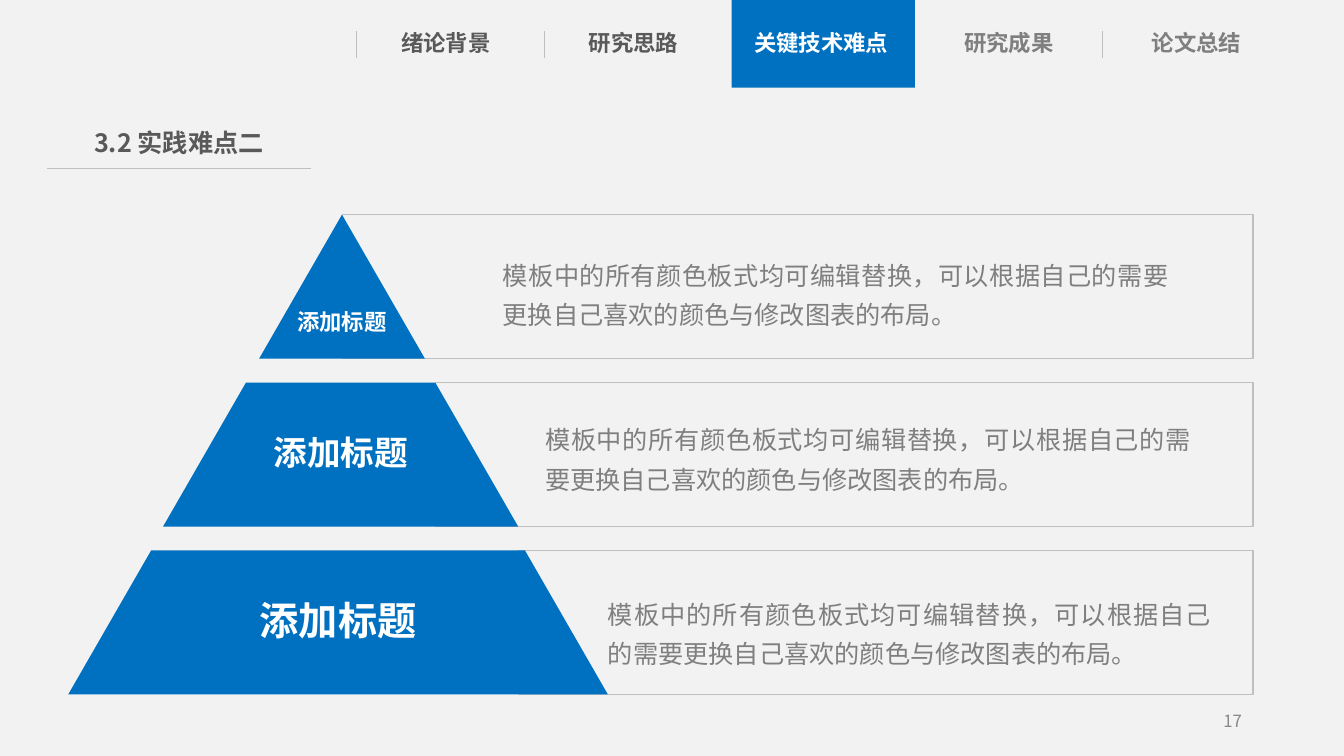
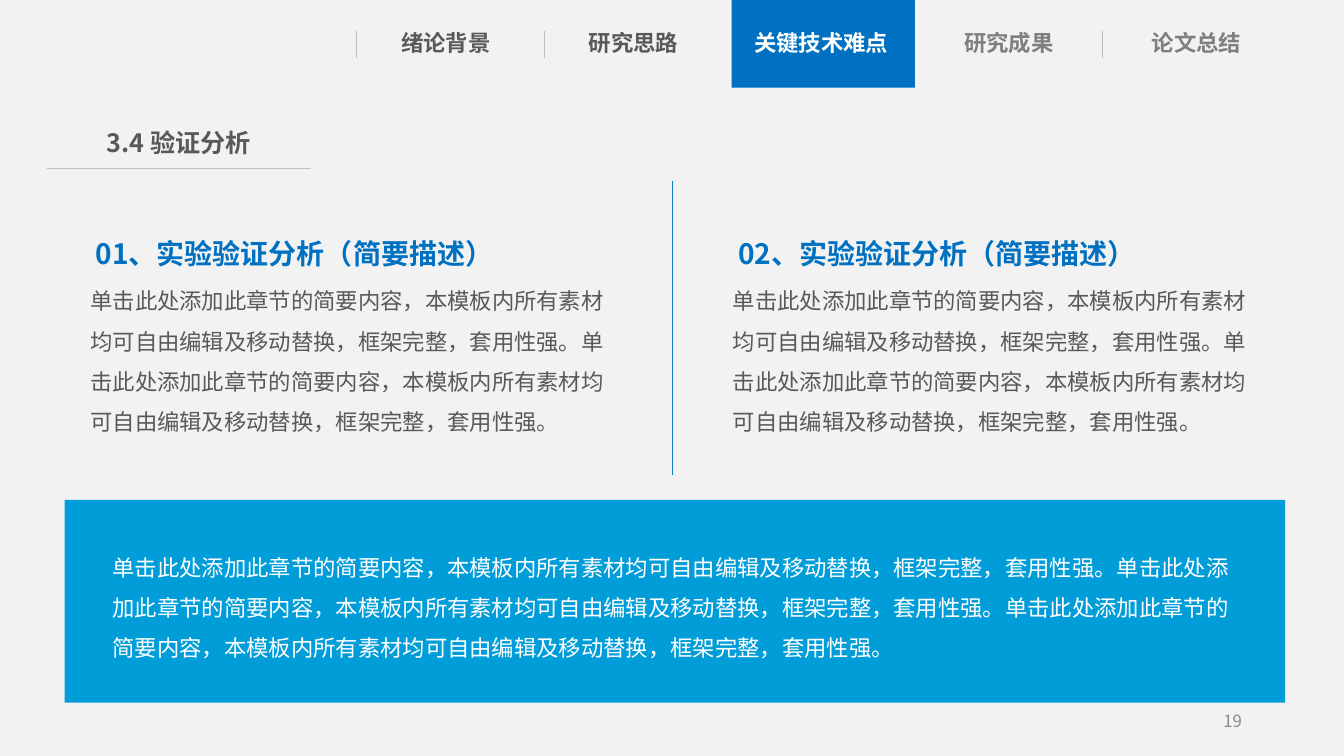
from lxml.etree import SubElement
from pptx import Presentation
from pptx.dml.color import RGBColor
from pptx.enum.shapes import MSO_CONNECTOR, MSO_SHAPE
from pptx.enum.text import MSO_ANCHOR, MSO_AUTO_SIZE, PP_ALIGN
from pptx.oxml.ns import qn
from pptx.util import Cm, Pt

FONT = "Noto Sans CJK SC"
PAPER = RGBColor(0xF2, 0xF2, 0xF2)
WHITE = RGBColor(0xFF, 0xFF, 0xFF)
DARK = RGBColor(0x59, 0x59, 0x59)
GRAY = RGBColor(0x7F, 0x7F, 0x7F)
PAGE_GRAY = RGBColor(0x89, 0x89, 0x89)
RULE = RGBColor(0xBF, 0xBF, 0xBF)
BLUE = RGBColor(0x00, 0x70, 0xC0)
DIVIDER = RGBColor(0x0D, 0x84, 0xC8)
SKY = RGBColor(0x00, 0x9D, 0xD9)

SECTIONS = ["绪论背景", "研究思路", "关键技术难点", "研究成果", "论文总结"]
ACTIVE = 2
LABEL_INSETS = (0, 0.13, 0, 0.13)

ADVICE = "模板中的所有颜色板式均可编辑替换，可以根据自己的需要更换自己喜欢的颜色与修改图表的布局。"
SUMMARY = "单击此处添加此章节的简要内容，本模板内所有素材均可自由编辑及移动替换，框架完整，套用性强。"


def write_text(shape, text, size=16, color=DARK, bold=False, align=PP_ALIGN.LEFT,
               anchor=MSO_ANCHOR.TOP, insets=(0.25, 0.13, 0.25, 0.13),
               spacing=None, before=None):
    """Put one formatted paragraph into a shape."""
    frame = shape.text_frame
    frame.word_wrap = True
    frame.auto_size = MSO_AUTO_SIZE.NONE
    frame.vertical_anchor = anchor
    (frame.margin_left, frame.margin_top,
     frame.margin_right, frame.margin_bottom) = map(Cm, insets)
    para = frame.paragraphs[0]
    para.alignment = align
    if spacing:
        para.line_spacing = spacing
    if before:
        para.space_before = Pt(before)
    span = para.add_run()
    span.text = text
    span.font.name = FONT
    span.font.size = Pt(size)
    span.font.bold = bold
    span.font.color.rgb = color
    for properties in shape.element.iter(qn("a:rPr")):
        SubElement(properties, qn("a:ea")).set("typeface", FONT)


class ThesisDeck:
    """Hold the shared style and the page being filled."""

    def __init__(self):
        """Open a widescreen deck with a pale background."""
        self.deck = Presentation()
        self.deck.slide_width = Cm(33.87)
        self.deck.slide_height = Cm(19.05)
        background = self.deck.slide_master.background.fill
        background.solid()
        background.fore_color.rgb = PAPER
        self.page = None

    def add_page(self, title, number):
        """Start a page with its title, navigation and number."""
        self.page = self.deck.slides.add_slide(self.deck.slide_layouts[5])
        heading = self.page.shapes.title
        heading.left, heading.top = Cm(1.88), Cm(3.07)
        heading.width, heading.height = Cm(5.26), Cm(1.07)
        write_text(heading, title, size=18, bold=True, align=PP_ALIGN.CENTER,
                   insets=LABEL_INSETS)
        self.line(1.19, 4.24, 7.85, 4.24)
        self.navigation()
        self.text(23.93, 17.65, 7.62, 1.02, str(number), size=12, color=PAGE_GRAY,
                  align=PP_ALIGN.RIGHT, anchor=MSO_ANCHOR.MIDDLE)

    def navigation(self):
        """Draw the section labels with the active one highlighted."""
        self.rectangle(18.44, 0, 4.62, 2.21, BLUE)
        for index, section in enumerate(SECTIONS):
            color = WHITE if index == ACTIVE else DARK if index < ACTIVE else GRAY
            self.text(9.37 + 4.73 * index, 0.61, 3.73, 0.97, section, color=color,
                      bold=True, align=PP_ALIGN.CENTER, insets=LABEL_INSETS)
        for left in (8.97, 13.72, 27.79):
            self.line(left, 0.79, left, 1.47)

    def text(self, left, top, width, height, text, **style):
        """Add a text box."""
        box = self.page.shapes.add_textbox(Cm(left), Cm(top), Cm(width), Cm(height))
        write_text(box, text, **style)

    def line(self, left, top, right, bottom, color=RULE):
        """Add a thin straight line."""
        line = self.page.shapes.add_connector(
            MSO_CONNECTOR.STRAIGHT, Cm(left), Cm(top), Cm(right), Cm(bottom))
        line.line.color.rgb = color
        line.line.width = Pt(0.5)
        SubElement(line.element.find(qn("p:spPr")), qn("a:effectLst"))

    def paint(self, shape, fill, outline=None):
        """Give a shape its fill and outline."""
        shape.shadow.inherit = False
        shape.fill.solid()
        shape.fill.fore_color.rgb = fill
        if outline is None:
            shape.line.fill.background()
        else:
            shape.line.color.rgb = outline
            shape.line.width = Pt(1)

    def rectangle(self, left, top, width, height, fill, outline=None):
        """Add a rectangle."""
        shape = self.page.shapes.add_shape(
            MSO_SHAPE.RECTANGLE, Cm(left), Cm(top), Cm(width), Cm(height))
        self.paint(shape, fill, outline)

    def tier(self, left, right, top, height, flare, label, size, inset):
        """Add a pyramid tier whose base is wider by the flare on each side."""
        corners = [(right, top), (right + flare, top + height), (left - flare, top + height)]
        builder = self.page.shapes.build_freeform(Cm(left), Cm(top))
        builder.add_line_segments([(Cm(x), Cm(y)) for x, y in corners], close=True)
        shape = builder.convert_to_shape()
        self.paint(shape, BLUE)
        write_text(shape, label, size=size, color=WHITE, bold=True, align=PP_ALIGN.CENTER,
                   anchor=MSO_ANCHOR.MIDDLE, insets=(0.33, inset, 0.33, 0.15))

    def save(self):
        """Write the deck to disk."""
        self.deck.save("out.pptx")


def build_pyramid(thesis):
    """Fill the page with three pyramid tiers and their notes."""
    thesis.add_page("3.2 实践难点二", 17)
    height, panel_right = 3.63, 31.58
    tiers = [
        (8.62, 8.62, 8.64, 16, 1.9, 12.67, 6.07, 16.79),
        (6.2, 10.97, 10.97, 24, 0, 13.74, 10.21, 16.28),
        (3.81, 13.23, 13.06, 28, 0, 15.32, 14.61, 15.21),
    ]
    for index, tier in enumerate(tiers):
        left, right, panel_left, size, inset, note_left, note_top, note_width = tier
        top = 5.41 + 4.23 * index
        thesis.rectangle(panel_left, top, panel_right - panel_left, height, PAPER, RULE)
        thesis.tier(left, right, top, height, 2.09, "添加标题", size, inset)
        thesis.text(note_left, note_top, note_width, 2.51, ADVICE, size=18, color=GRAY,
                    align=PP_ALIGN.JUSTIFY, anchor=MSO_ANCHOR.MIDDLE,
                    insets=(0, 0, 0, 0), spacing=1.3, before=7.5)


def build_analysis(thesis):
    """Fill the page with two columns and a summary band."""
    thesis.add_page("3.4 验证分析", 19)
    for left, number in ((2.03, "01"), (18.22, "02")):
        thesis.text(left + 0.13, 5.41, 12.75, 1.4, f"{number}、实验验证分析（简要描述）",
                    size=20, color=BLUE, bold=True, spacing=1.5)
        thesis.text(left, 6.78, 13.64, 4.37, SUMMARY * 2, spacing=1.5)
    thesis.line(16.94, 4.57, 16.94, 11.96, DIVIDER)
    thesis.rectangle(1.63, 12.6, 30.76, 5.11, SKY)
    thesis.text(2.59, 13.49, 28.85, 3.33, SUMMARY * 3, color=WHITE, spacing=1.5)


def main():
    """Build both pages and save them."""
    thesis = ThesisDeck()
    build_pyramid(thesis)
    build_analysis(thesis)
    thesis.save()


if __name__ == "__main__":
    main()
